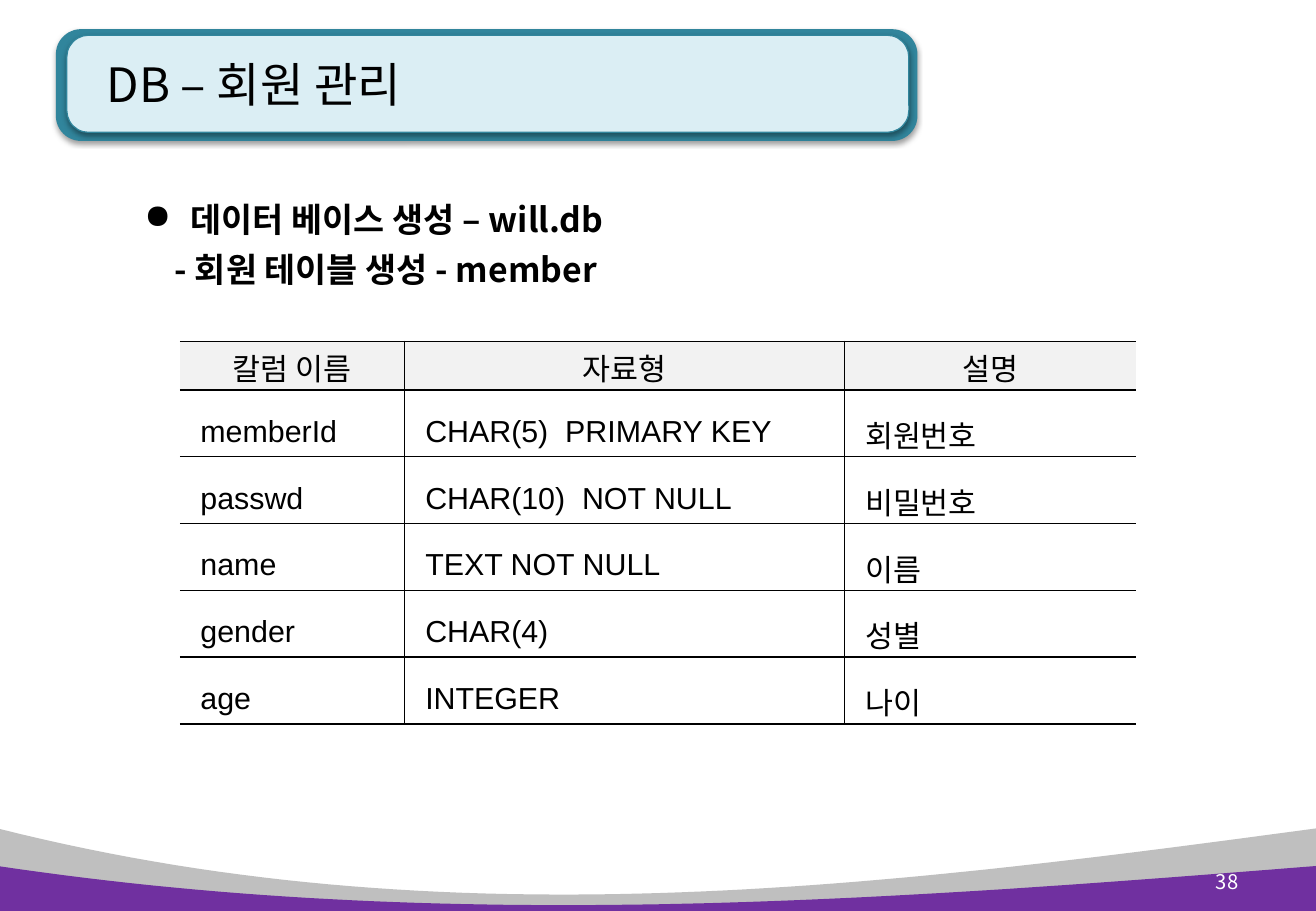
from dataclasses import dataclass

import lxml.etree
import pptx
import pptx.dml.color
import pptx.enum.shapes
import pptx.enum.text
import pptx.oxml.ns
import pptx.util

Inches = pptx.util.Inches
qn = pptx.oxml.ns.qn
ALIGN = pptx.enum.text.PP_ALIGN
ANCHOR = pptx.enum.text.MSO_ANCHOR

COLORS = {
    "black": "000000", "white": "FFFFFF", "gray": "BFBFBF", "purple": "7030A0",
    "teal": "31859C", "pale_teal": "DBEEF4", "header": "F2F2F2",
}
KOREAN = "Noto Sans CJK KR"
LATIN = "Arial"


@dataclass
class Wave:
    top: float
    controls: tuple[float, float]
    bottom: float
    color: str


@dataclass
class Banner:
    box: tuple[float, float, float, float]
    fill: str
    outlined: bool


@dataclass
class Line:
    text: str
    size: float
    color: str = "black"
    bold: bool = False
    font: str = KOREAN
    align: ALIGN = ALIGN.LEFT
    spacing: float = 1.0
    margin: float = 0
    bullet: str = ""


WAVES = [
    Wave(6.82, (7.75, 7.31), 7.5, "gray"),
    Wave(7.13, (7.68, 7.42), 7.53, "purple"),
]
BANNERS = [
    Banner((0.46, 0.24, 7.09, 0.92), "teal", False),
    Banner((0.55, 0.29, 6.93, 0.8), "pale_teal", True),
]
MEMBER_COLUMNS = [
    ("칼럼 이름", "자료형", "설명"),
    ("memberId", "CHAR(5)  PRIMARY KEY", "회원번호"),
    ("passwd", "CHAR(10)  NOT NULL", "비밀번호"),
    ("name", "TEXT NOT NULL", "이름"),
    ("gender", "CHAR(4)", "성별"),
    ("age", "INTEGER", "나이"),
]
COLUMN_WIDTHS = (1.85, 3.62, 2.4)
HEADER_HEIGHT, ROW_HEIGHT = 0.4, 0.55


def rgb(name: str) -> pptx.dml.color.RGBColor:
    return pptx.dml.color.RGBColor.from_string(COLORS[name])


def add_element(parent, tag: str, **attributes):
    return lxml.etree.SubElement(parent, qn(tag), attributes)


def draw_wave(slide, wave: Wave) -> None:
    """Draw a band whose upper edge is a cubic curve across the slide."""
    xs, ys = (-0.02, 3.65, 7.2, 10.83), (wave.top, *wave.controls, wave.top)

    def curve(points: tuple, t: float) -> float:
        a, b, c, d = points
        u = 1 - t
        return u**3 * a + 3 * u * u * t * b + 3 * u * t * t * c + t**3 * d

    steps = 60
    edge = [(Inches(curve(xs, i / steps)), Inches(curve(ys, i / steps)))
            for i in range(steps + 1)]
    corners = [(Inches(x), Inches(wave.bottom)) for x in (xs[-1], xs[0])]
    builder = slide.shapes.build_freeform(*edge[0])
    builder.add_line_segments(edge[1:] + corners, close=True)
    band = builder.convert_to_shape()
    band.shadow.inherit = False
    band.fill.solid()
    band.fill.fore_color.rgb = rgb(wave.color)
    band.line.fill.background()


def draw_banner(slide, banner: Banner) -> None:
    plate = slide.shapes.add_shape(
        pptx.enum.shapes.MSO_SHAPE.ROUNDED_RECTANGLE, *map(Inches, banner.box))
    plate.adjustments[0] = 0.225
    plate.fill.solid()
    plate.fill.fore_color.rgb = rgb(banner.fill)
    if banner.outlined:
        plate.line.color.rgb = rgb("teal")
        plate.line.width = pptx.util.Pt(0.75)
    else:
        plate.line.fill.background()
    plate.shadow.inherit = False
    effects = plate._element.spPr.find(qn("a:effectLst"))
    shadow = add_element(effects, "a:outerShdw", blurRad=str(pptx.util.Pt(3.1)),
                         dist=str(pptx.util.Pt(1.6)), dir="5400000", rotWithShape="0")
    shade = add_element(shadow, "a:srgbClr", val=COLORS["black"])
    add_element(shade, "a:alpha", val="38000")


def write_line(paragraph, line: Line) -> None:
    paragraph.text = line.text
    paragraph.alignment = line.align
    paragraph.line_spacing = line.spacing
    properties = paragraph._p.get_or_add_pPr()
    properties.set("marL", str(Inches(line.margin)))
    properties.set("indent", str(Inches(-line.margin if line.bullet else 0)))
    if line.bullet:
        add_element(properties, "a:buChar", char=line.bullet)
    for run in paragraph.runs:
        run.font.size = pptx.util.Pt(line.size)
        run.font.bold = line.bold
        run.font.color.rgb = rgb(line.color)
        run.font.name = line.font
        add_element(run._r.get_or_add_rPr(), "a:ea", typeface=KOREAN)


def draw_text(slide, box: tuple[float, float, float, float], lines: list[Line],
              anchor: ANCHOR = ANCHOR.MIDDLE) -> None:
    frame = slide.shapes.add_textbox(*map(Inches, box)).text_frame
    frame.word_wrap = True
    frame.vertical_anchor = anchor
    frame.text = "\n".join(line.text for line in lines)
    for paragraph, line in zip(frame.paragraphs, lines):
        write_line(paragraph, line)


def set_borders(cell, sides: str) -> None:
    properties = cell._tc.get_or_add_tcPr()
    for position, side in enumerate("LRTB"):
        shown = side in sides
        border = lxml.etree.Element(qn(f"a:ln{side}"),
                                    w=str(pptx.util.Pt(1 if shown else 0)))
        if shown:
            fill = add_element(border, "a:solidFill")
            add_element(fill, "a:srgbClr", val=COLORS["black"])
        else:
            add_element(border, "a:noFill")
        properties.insert(position, border)


def draw_member_table(slide) -> None:
    height = HEADER_HEIGHT + ROW_HEIGHT * (len(MEMBER_COLUMNS) - 1)
    table = slide.shapes.add_table(
        len(MEMBER_COLUMNS), len(COLUMN_WIDTHS), Inches(1.48), Inches(2.81),
        Inches(sum(COLUMN_WIDTHS)), Inches(height)).table
    table.first_row = table.horz_banding = False
    for column, width in zip(table.columns, COLUMN_WIDTHS):
        column.width = Inches(width)
    for r, texts in enumerate(MEMBER_COLUMNS):
        header = r == 0
        table.rows[r].height = Inches(HEADER_HEIGHT if header else ROW_HEIGHT)
        for c, text in enumerate(texts):
            cell = table.cell(r, c)
            cell.vertical_anchor = ANCHOR.MIDDLE
            cell.margin_top = Inches(0.03 if header else 0)
            cell.margin_bottom = 0
            if header:
                line = Line(text, 18, align=ALIGN.CENTER)
                cell.fill.solid()
                cell.fill.fore_color.rgb = rgb("header")
            else:
                font = KOREAN if c == 2 else LATIN
                line = Line(text, 18, font=font, spacing=1.5)
                cell.margin_left = Inches(0.17)
                cell.fill.background()
            write_line(cell.text_frame.paragraphs[0], line)
            set_borders(cell, ("RTB", "LRTB", "LTB")[c])


def main() -> None:
    deck = pptx.Presentation()
    deck.slide_width, deck.slide_height = Inches(10.83), Inches(7.5)
    slide = deck.slides.add_slide(deck.slide_layouts[6])

    # Background waves and title banner
    draw_wave(slide, WAVES[0])
    for banner in BANNERS:
        draw_banner(slide, banner)
    draw_wave(slide, WAVES[1])

    # Title, page number and headings
    draw_text(slide, (0.69, 0.22, 6.78, 0.94), [Line("DB – 회원 관리", 28, margin=0.09)])
    draw_text(slide, (9.68, 7.06, 0.61, 0.4),
              [Line("38", 12, color="white", align=ALIGN.RIGHT)])
    draw_text(slide, (1.09, 1.5, 6.46, 1.11), [
        Line("데이터 베이스 생성 – will.db", 20, bold=True, spacing=1.25,
             margin=0.38, bullet="●"),
        Line("- 회원 테이블 생성 - member", 20, bold=True, spacing=1.25, margin=0.25),
    ], ANCHOR.TOP)

    # Member table
    draw_member_table(slide)
    deck.save("out.pptx")


if __name__ == "__main__":
    main()
